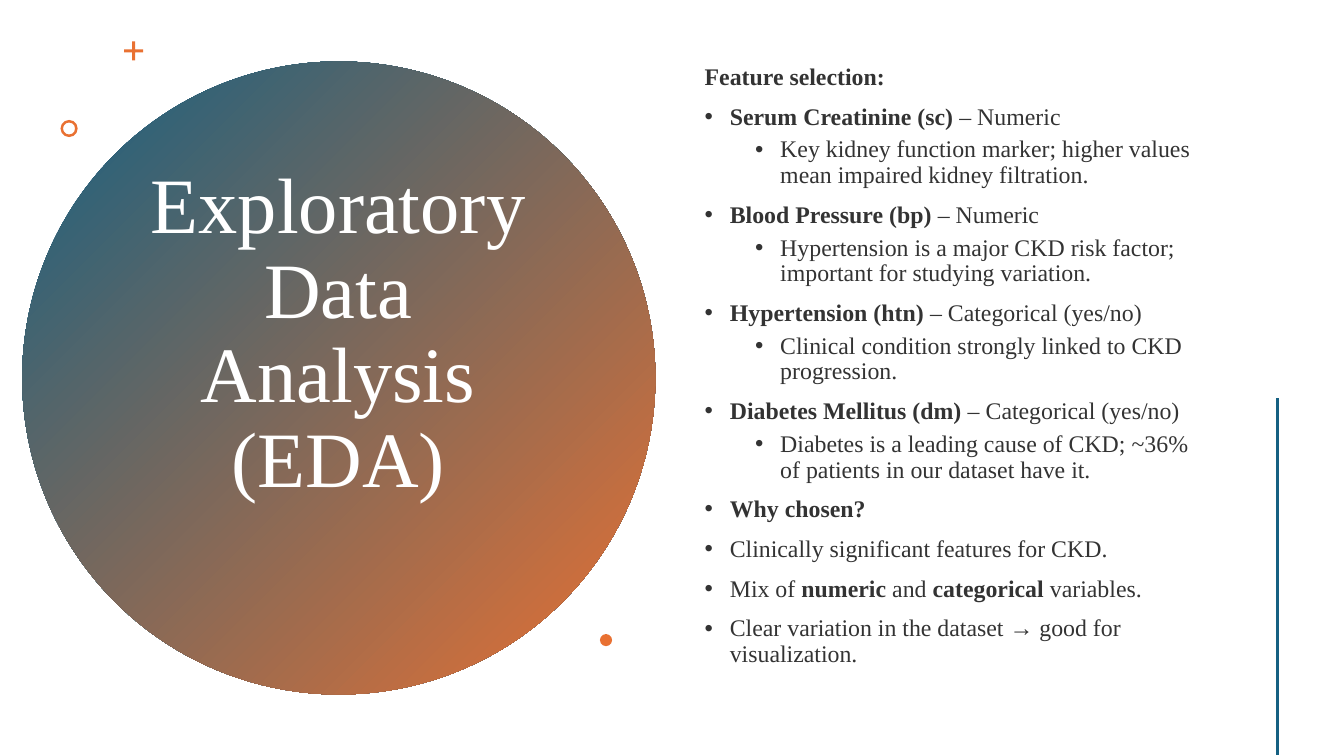
from dataclasses import dataclass

from lxml import etree
from pptx import Presentation
from pptx.dml.color import RGBColor
from pptx.enum.shapes import MSO_CONNECTOR, MSO_SHAPE
from pptx.enum.text import MSO_ANCHOR, MSO_AUTO_SIZE, PP_ALIGN
from pptx.oxml.ns import qn
from pptx.util import Inches, Pt

STRAIGHT = MSO_CONNECTOR.STRAIGHT
OVAL, CROSS, DONUT = MSO_SHAPE.OVAL, MSO_SHAPE.CROSS, MSO_SHAPE.DONUT
MIDDLE, CENTER, FIXED = MSO_ANCHOR.MIDDLE, PP_ALIGN.CENTER, MSO_AUTO_SIZE.NONE


@dataclass(frozen=True)
class Theme:
    blue: RGBColor = RGBColor(0x15, 0x60, 0x82)
    orange: RGBColor = RGBColor(0xE9, 0x71, 0x32)
    white: RGBColor = RGBColor(0xFF, 0xFF, 0xFF)
    ink: RGBColor = RGBColor(0x33, 0x33, 0x33)
    font: str = "Times New Roman"
    title_size: int = 56
    body_size: int = 17
    line_spacing: float = 0.9


theme = Theme()
deck = Presentation()
deck.slide_width, deck.slide_height = Inches(13.33), Inches(7.5)
slide = deck.slides.add_slide(deck.slide_layouts[5])


def share(left, top, width, height):
    across, down = deck.slide_width / 100, deck.slide_height / 100
    return [int(n) for n in (left * across, top * down, width * across, height * down)]


def style_paragraph(paragraph, size, color):
    paragraph.line_spacing = theme.line_spacing
    paragraph.font.name = theme.font
    paragraph.font.size = Pt(size)
    paragraph.font.color.rgb = color


heading = slide.shapes.title
heading.left, heading.top, heading.width, heading.height = share(10.2, 18.8, 29.93, 62.27)
heading.text = "Exploratory Data Analysis (EDA)"
heading_frame = heading.text_frame
heading_frame.auto_size = FIXED
heading_frame.word_wrap = True
heading_frame.vertical_anchor = MIDDLE
heading_frame.margin_bottom = Inches(0.89)
heading_frame.paragraphs[0].alignment = CENTER
style_paragraph(heading_frame.paragraphs[0], theme.title_size, theme.white)

disc = slide.shapes.add_shape(OVAL, *share(1.65, 8.13, 47.11, 83.73))
disc.shadow.inherit = False
disc.line.fill.background()
disc.fill.gradient()
disc.fill.gradient_angle = 315
for stop, color in zip(disc.fill.gradient_stops, (theme.blue, theme.orange)):
    stop.color.rgb = color
heading._element.addprevious(disc._element)

ornaments = [
    (CROSS, (9.23, 5.47, 1.43, 2.53), 0.42),
    (DONUT, (4.5, 15.87, 1.28, 2.27), 0.15),
    (OVAL, (44.64, 83.87, 0.9, 1.6), None),
]
for outline, place, thickness in ornaments:
    ornament = slide.shapes.add_shape(outline, *share(*place))
    ornament.shadow.inherit = False
    ornament.fill.solid()
    ornament.fill.fore_color.rgb = theme.orange
    ornament.line.fill.background()
    if thickness:
        ornament.adjustments[0] = thickness

features = [
    (None, "**Feature selection:**"),
    (0, "**Serum Creatinine (sc)** – Numeric"),
    (1, "Key kidney function marker; higher values mean impaired kidney filtration."),
    (0, "**Blood Pressure (bp)** – Numeric"),
    (1, "Hypertension is a major CKD risk factor; important for studying variation."),
    (0, "**Hypertension (htn)** – Categorical (yes/no)"),
    (1, "Clinical condition strongly linked to CKD progression."),
    (0, "**Diabetes Mellitus (dm)** – Categorical (yes/no)"),
    (1, "Diabetes is a leading cause of CKD; ~36% of patients in our dataset have it."),
    (0, "**Why chosen?**"),
    (0, "Clinically significant features for CKD."),
    (0, "Mix of **numeric** and **categorical** variables."),
    (0, "Clear variation in the dataset → good for visualization."),
]
selection = slide.shapes.add_textbox(*share(51.69, 7.6, 39.16, 85.07)).text_frame
selection.word_wrap = True
selection.auto_size = FIXED
selection.vertical_anchor = MIDDLE
selection.margin_top, selection.margin_bottom = Inches(0.19), Inches(0.44)

for row, (level, wording) in enumerate(features):
    point = selection.add_paragraph() if row else selection.paragraphs[0]
    if level is not None:
        point.level = level
        point.space_before = Pt(5 if level else 10)
        properties = point._p.get_or_add_pPr()
        properties.set("marL", str(Inches(0.25 + 0.5 * level)))
        properties.set("indent", str(Inches(-0.25)))
        etree.SubElement(properties, qn("a:buFont"), typeface="Arial")
        etree.SubElement(properties, qn("a:buChar"), char="•")
    style_paragraph(point, theme.body_size, theme.ink)
    for position, phrase in enumerate(wording.split("**")):
        if phrase:
            run = point.add_run()
            run.text = phrase
            run.font.bold = position % 2 == 1

left, top, _, bottom = share(95.05, 52.67, 0, 99.87)
edge = slide.shapes.add_connector(STRAIGHT, left, top, left, bottom)
edge.line.color.rgb = theme.blue
edge.line.width = Pt(2)
etree.SubElement(edge._element.spPr, qn("a:effectLst"))

deck.save("out.pptx")
